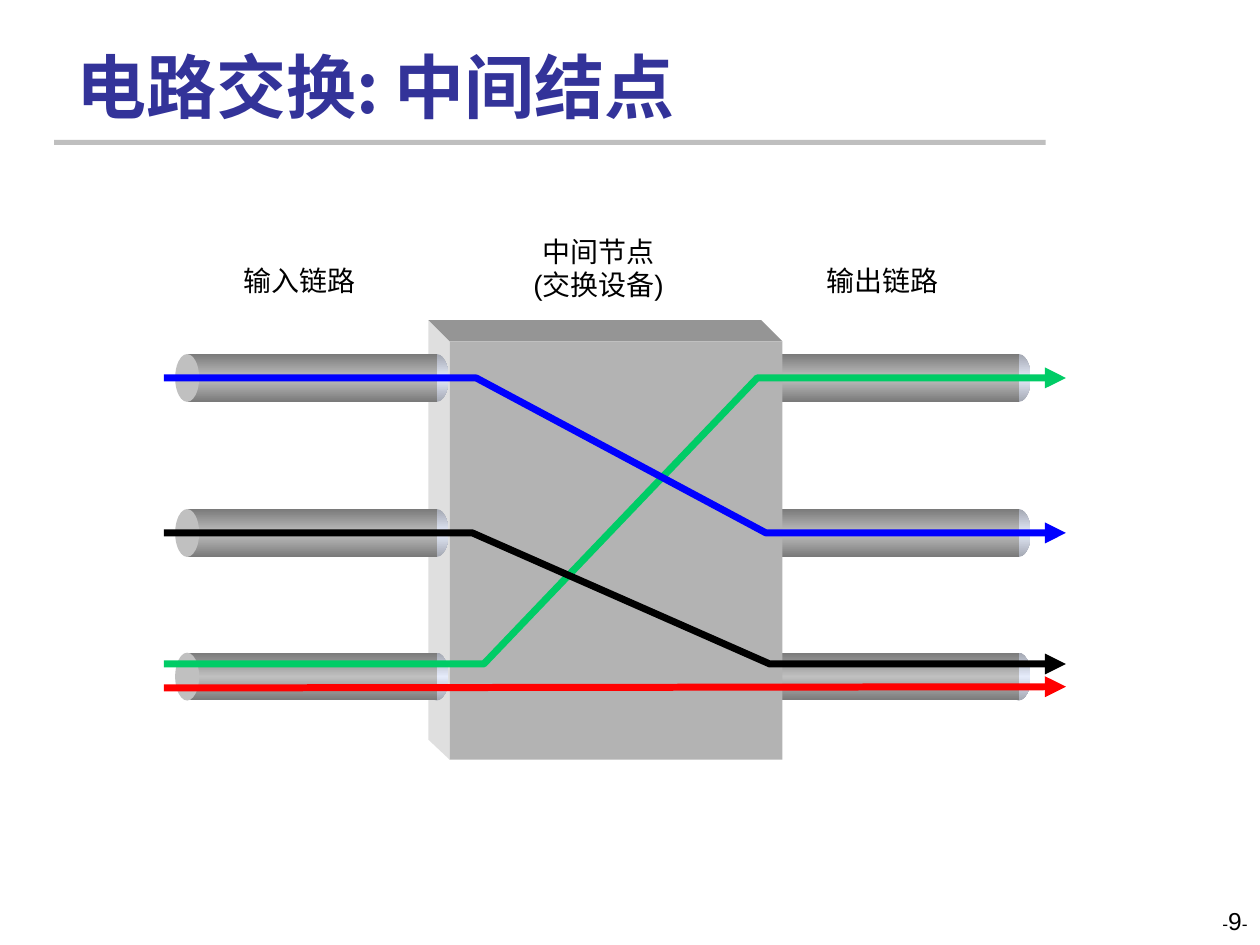
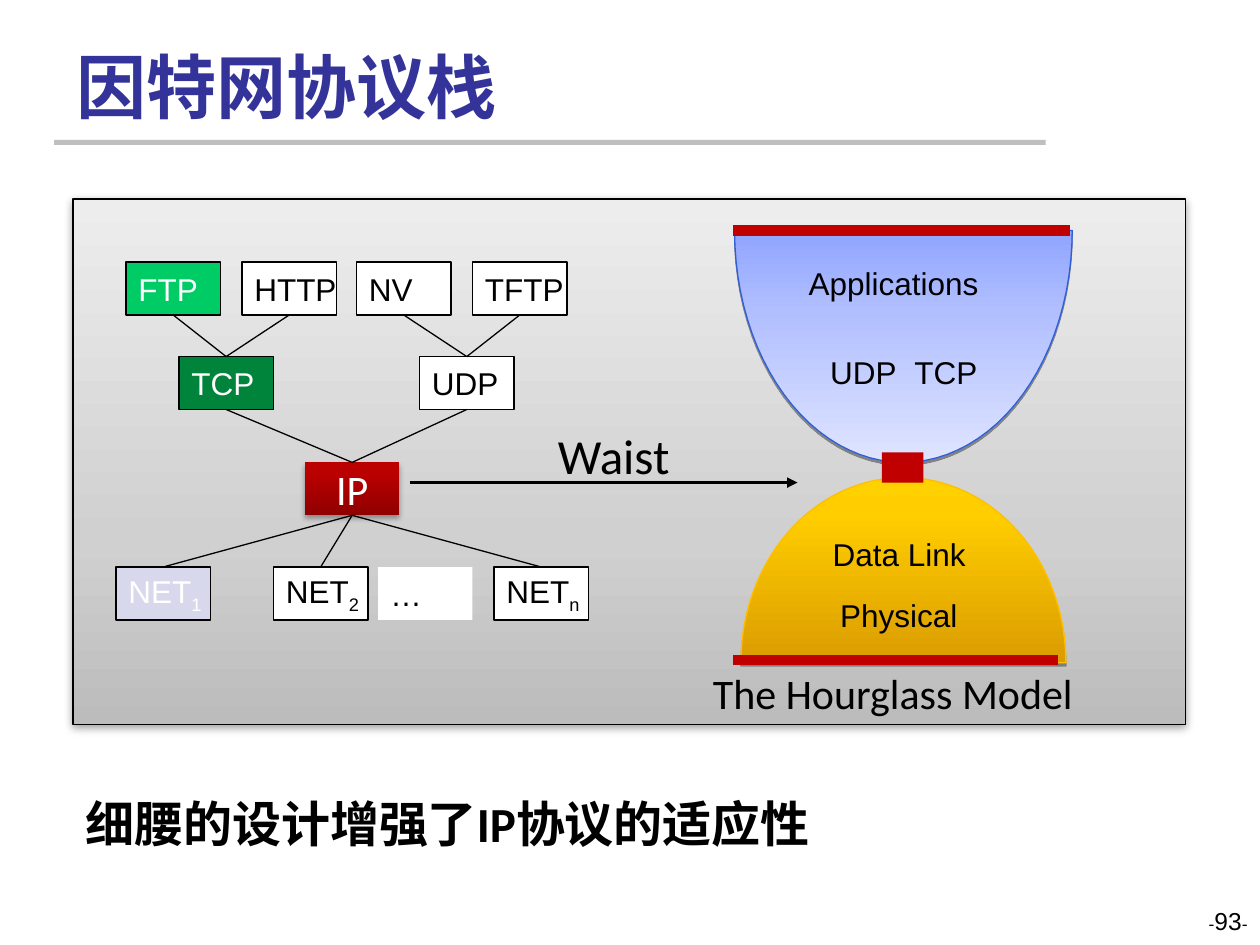
from math import cos, pi, sin

from pptx import Presentation
from pptx.dml.color import RGBColor
from pptx.enum import shapes, text
from pptx.oxml import ns, parse_xml
from pptx.util import Inches, Pt

COLORS = {
    "title": "333399", "rule": "BFBFBF", "ink": "000000", "white": "FFFFFF",
    "front": "B3B3B3", "top": "959595", "side": "DFDFDF", "pipe": "C0C0C0",
    "red": "FF0000", "green": "00CC66", "blue": "0000FF",
    "waist": "C00000", "tcp": "00843C", "net": "D8D8EC",
    "bowl edge": "2D5DD9", "dome edge": "FFBF00",
}
# Gradients run from top to bottom: (percent, colour)
GRADIENTS = {
    "pipe body": [(0, "7A7A7A"), (50, "C0C0C0"), (100, "7A7A7A")],
    "pipe end": [(0, "A3A7B2"), (50, "E5EBFA"), (100, "A3A7B2")],
    "panel": [(0, "EDEDED"), (65, "D0D0D0"), (100, "BCBCBC")],
    "bowl": [(0, "8FA4FF"), (35, "B1BFFF"), (100, "DFE5FF")],
    "dome": [(0, "FFD100"), (20, "FFCD00"), (100, "DA9C00")],
    "ip": [(0, "BB0000"), (20, "BA0000"), (100, "8F0000")],
}
CJK = "Noto Sans CJK SC"
RECT = shapes.MSO_SHAPE.RECTANGLE
OVAL = shapes.MSO_SHAPE.OVAL
STRAIGHT = shapes.MSO_CONNECTOR.STRAIGHT
LEFT, CENTER, RIGHT = text.PP_ALIGN.LEFT, text.PP_ALIGN.CENTER, text.PP_ALIGN.RIGHT
TOP, MIDDLE, BOTTOM = text.MSO_ANCHOR.TOP, text.MSO_ANCHOR.MIDDLE, text.MSO_ANCHOR.BOTTOM


def paint(shape, fill=None, edge=None, width=0.75, arrow=False, shadow=None):
    """Style a shape or connector; shadow is (opacity %, blur pt, distance pt)."""
    properties = shape._element.spPr
    if fill in COLORS:
        shape.fill.solid()
        shape.fill.fore_color.rgb = RGBColor.from_string(COLORS[fill])
    elif hasattr(shape, "fill"):
        shape.fill.background()
    if fill in GRADIENTS:
        stops = "".join(f'<a:gs pos="{at * 1000}"><a:srgbClr val="{color}"/></a:gs>'
                        for at, color in GRADIENTS[fill])
        properties.replace(properties.find(ns.qn("a:noFill")), parse_xml(
            f'<a:gradFill {ns.nsdecls("a")} rotWithShape="1"><a:gsLst>{stops}</a:gsLst>'
            '<a:lin ang="5400000" scaled="0"/></a:gradFill>'))
    if edge:
        shape.line.color.rgb = RGBColor.from_string(COLORS[edge])
        shape.line.width = Pt(width)
    else:
        shape.line.fill.background()
    if arrow:
        properties.find(ns.qn("a:ln")).append(
            parse_xml(f'<a:tailEnd {ns.nsdecls("a")} type="triangle"/>'))
    effect = ""
    if shadow:
        opacity, blur, distance = shadow
        effect = (f'<a:outerShdw blurRad="{Pt(blur)}" dist="{Pt(distance)}" dir="5400000" '
                  'rotWithShape="0"><a:srgbClr val="000000">'
                  f'<a:alpha val="{opacity * 1000}"/></a:srgbClr></a:outerShdw>')
    properties.append(parse_xml(
        f'<a:effectLst {ns.nsdecls("a")}>{effect}</a:effectLst>'))


def write(box, paragraphs, font="Arial", color="ink", bold=False, align=LEFT,
          anchor=TOP, wrap=False, margins=(0.1, 0.05)):
    """Fill a box; each paragraph is a list of (words, size[, baseline %]) runs."""
    frame = box.text_frame
    frame.word_wrap = wrap
    frame.vertical_anchor = anchor
    frame.margin_left = frame.margin_right = Inches(margins[0])
    frame.margin_top = frame.margin_bottom = Inches(margins[1])
    for index, runs in enumerate(paragraphs):
        para = frame.add_paragraph() if index else frame.paragraphs[0]
        para.alignment = align
        for words, size, *baseline in runs:
            span = para.add_run()
            span.text = words
            span.font.name = font
            span.font.size = Pt(size)
            span.font.bold = bold
            span.font.color.rgb = RGBColor.from_string(COLORS[color])
            properties = span.font._element
            properties.append(parse_xml(f'<a:ea {ns.nsdecls("a")} typeface="{CJK}"/>'))
            if baseline:
                properties.set("baseline", str(baseline[0] * 1000))


deck = Presentation()
deck.slide_width, deck.slide_height = Inches(10), Inches(7.5)

# Title, rule and page number on both slides
pages = []
for title, number in (("电路交换: 中间结点", "9"), ("因特网协议栈", "93")):
    page = deck.slides.add_slide(deck.slide_layouts[6])
    pages.append(page)
    rule = page.shapes.add_shape(RECT, *map(Inches, (0.43, 1.11, 7.87, 0.04)))
    paint(rule, "rule")
    box = page.shapes.add_textbox(*map(Inches, (0.51, 0.28, 8.25, 0.78)))
    write(box, [[(title, 40)]], CJK, "title", bold=True, anchor=BOTTOM, wrap=True)
    box = page.shapes.add_textbox(*map(Inches, (7.67, 7.14, 2.33, 0.5)))
    write(box, [[("-", 10), (number, 14), ("-", 10)]], align=RIGHT, wrap=True)
switching, stack = (page.shapes for page in pages)

# Slide 1: the switch, its pipes and the circuits through it
switch_faces = [
    ("side", [(3.4, 2.54), (3.57, 2.71), (3.57, 6.03), (3.4, 5.87)]),
    ("top", [(3.4, 2.54), (6.04, 2.54), (6.21, 2.71), (3.57, 2.71)]),
]
for fill, corners in switch_faces:
    points = [tuple(map(Inches, corner)) for corner in corners]
    outline = switching.build_freeform(*points[0])
    outline.add_line_segments(points[1:])
    paint(outline.convert_to_shape(), fill)

for left in (1.39, 6.01):
    for top in (2.81, 4.04, 5.18):
        for kind, offset, width, fill in ((OVAL, 1.98, 0.19, "pipe end"),
                                          (RECT, 0.1, 1.98, "pipe body"),
                                          (OVAL, 0, 0.19, "pipe")):
            part = switching.add_shape(
                kind, *map(Inches, (left + offset, top, width, 0.38)))
            paint(part, fill)

front = switching.add_shape(RECT, *map(Inches, (3.57, 2.71, 2.64, 3.32)))
paint(front, "front")

direct = switching.add_connector(STRAIGHT, *map(Inches, (1.3, 5.46, 8.46, 5.45)))
paint(direct, edge="red", width=4, arrow=True)
for color, start, enter, leave, end in (("green", 5.27, 3.84, 6.01, 3),
                                        ("blue", 3, 3.78, 6.08, 4.23),
                                        ("ink", 4.23, 3.75, 6.11, 5.27)):
    points = [tuple(map(Inches, point)) for point in
              ((1.3, start), (enter, start), (leave, end), (8.46, end))]
    outline = switching.build_freeform(*points[0])
    outline.add_line_segments(points[1:], close=False)
    paint(outline.convert_to_shape(), edge=color, width=4, arrow=True)

for place, lines in (((1.93, 2.09, 0.89, 0.27), ["输入链路"]),
                     ((6.56, 2.09, 0.89, 0.27), ["输出链路"]),
                     ((4.23, 1.86, 1.04, 0.54), ["中间节点", "(交换设备)"])):
    box = switching.add_textbox(*map(Inches, place))
    write(box, [[(line, 16)] for line in lines], align=CENTER, margins=(0, 0))

# Slide 2: panel and hourglass
panel = stack.add_shape(RECT, *map(Inches, (0.58, 1.58, 8.83, 4.17)))
paint(panel, "panel", "ink", shadow=(38, 5, 1.6))

STEPS = 48
for fill, edge, base, radius_x, radius_y, shadow in (
        ("dome", "dome edge", 5.26, 1.29, -1.47, (35, 0, 1.8)),
        ("bowl", "bowl edge", 1.83, 1.34, 1.84, (38, 0, 1.6))):
    points = [(Inches(7.17 + radius_x * cos(pi * step / STEPS)),
               Inches(base + radius_y * sin(pi * step / STEPS)))
              for step in range(STEPS + 1)]
    outline = stack.build_freeform(*points[0])
    outline.add_line_segments(points[1:])
    paint(outline.convert_to_shape(), fill, edge, shadow=shadow)

for ends, color, width, arrow in (((5.82, 1.83, 8.49, 1.83), "waist", 6, False),
                                  ((5.82, 5.24, 8.4, 5.24), "waist", 6, False),
                                  ((3.25, 3.83, 6.33, 3.83), "ink", 2, True)):
    line = stack.add_connector(STRAIGHT, *map(Inches, ends))
    paint(line, edge=color, width=width, arrow=arrow)
waist = stack.add_shape(RECT, *map(Inches, (7, 3.59, 0.33, 0.24)))
paint(waist, "waist")

for words, place, size, font, bold, wrap in (
        ("Applications", (6.32, 2.05, 1.7, 0.4), 18, "Arial", False, False),
        ("UDP", (6.49, 2.75, 0.73, 0.4), 18, "Arial", False, False),
        ("TCP", (7.16, 2.75, 0.7, 0.4), 18, "Arial", False, False),
        ("Data Link", (6.51, 4.2, 1.32, 0.4), 18, "Arial", False, False),
        ("Physical", (6.57, 4.68, 1.21, 0.4), 18, "Arial", False, False),
        ("The Hourglass Model", (5.56, 5.25, 3.09, 0.51), 24, "Calibri", False, False),
        ("Waist", (4.33, 3.33, 1.75, 0.57), 28, "Calibri", False, True),
        ("细腰的设计增强了IP协议的适应性", (0.58, 6.25, 8.59, 0.57), 28, "Calibri", True, True)):
    box = stack.add_textbox(*map(Inches, place))
    write(box, [[(words, size)]], font, bold=bold, wrap=wrap)

# Slide 2: protocol boxes as (name, subscript, left, top, fill, edge, ink)
protocols = {}
for name, subscript, left, top, fill, edge, ink in (
        ("FTP", "", 1, 2.08, "green", "ink", "white"),
        ("HTTP", "", 1.92, 2.08, "white", "ink", "ink"),
        ("NV", "", 2.83, 2.08, "white", "ink", "ink"),
        ("TFTP", "", 3.75, 2.08, "white", "ink", "ink"),
        ("TCP", "", 1.42, 2.83, "tcp", "ink", "white"),
        ("UDP", "", 3.33, 2.83, "white", "ink", "ink"),
        ("IP", "", 2.42, 3.67, "ip", None, "white"),
        ("NET", "1", 0.92, 4.5, "net", "ink", "white"),
        ("NET", "2", 2.17, 4.5, "white", "ink", "ink"),
        ("…", "", 3, 4.5, "white", None, "ink"),
        ("NET", "n", 3.92, 4.5, "white", "ink", "ink")):
    box = stack.add_shape(RECT, *map(Inches, (left, top, 0.75, 0.42)))
    is_ip = name == "IP"
    paint(box, fill, edge, shadow=(35, 3.1, 1.8) if is_ip else None)
    runs = [(name, 24 if is_ip else 18)]
    if subscript:
        runs.append((subscript, 18, -25))
    write(box, [runs], "Calibri" if is_ip else "Arial", ink,
          align=CENTER if is_ip else LEFT, anchor=MIDDLE)
    protocols[name + subscript] = box

for upper, lower in (("FTP", "TCP"), ("HTTP", "TCP"), ("NV", "UDP"), ("TFTP", "UDP"),
                     ("TCP", "IP"), ("UDP", "IP"),
                     ("IP", "NET1"), ("IP", "NET2"), ("IP", "NETn")):
    wire = stack.add_connector(STRAIGHT, 0, 0, 0, 0)
    wire.begin_connect(protocols[upper], 2)
    wire.end_connect(protocols[lower], 0)
    paint(wire, edge="ink")

deck.save("out.pptx")
